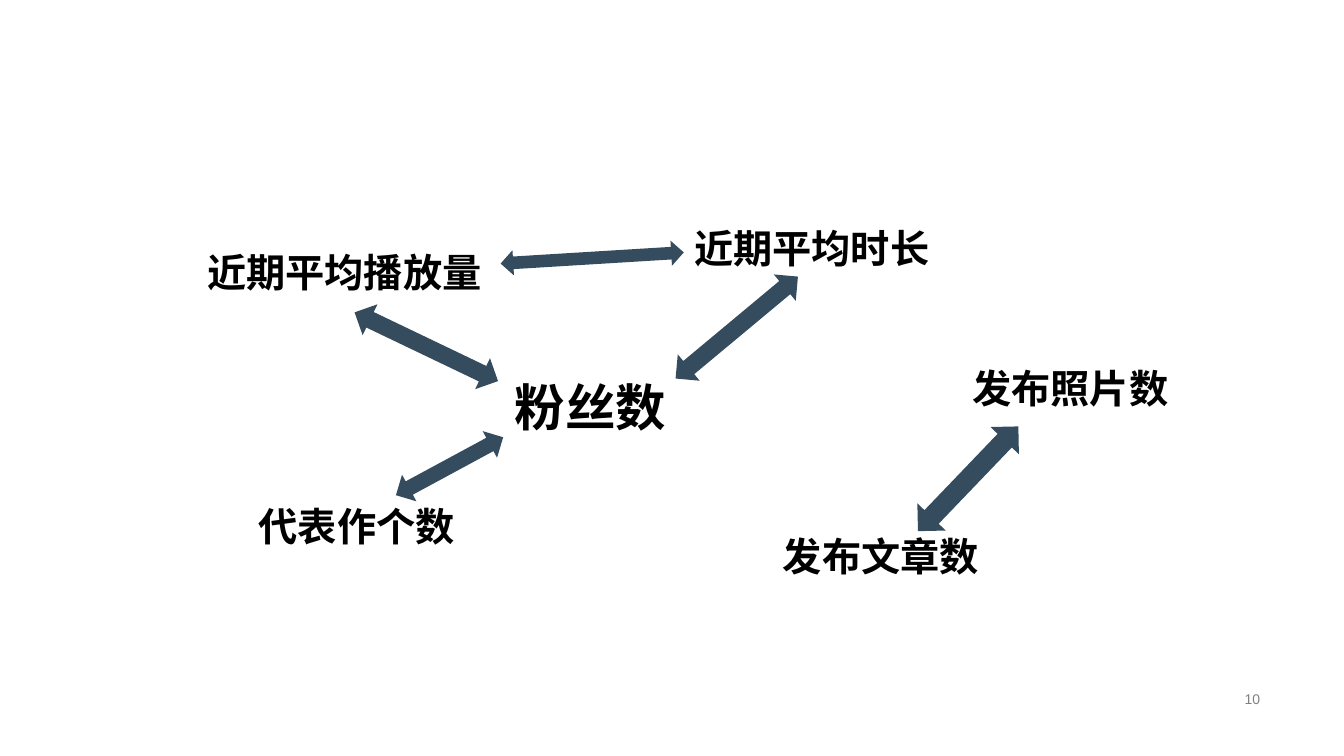
import math
import pptx
import pptx.util
import pptx.dml.color
import pptx.enum.shapes
import pptx.enum.text

Pt = pptx.util.Pt
RGB = pptx.dml.color.RGBColor.from_string
ALIGN = pptx.enum.text.PP_ALIGN
ANCHOR = pptx.enum.text.MSO_ANCHOR

THEME = {
    "font": "Arial", "ink": "000000", "muted": "808080", "arrow": "354B5E",
    "hub": 36, "label": 28, "page": 10,
}

# Labels: text, size, (left, top, width, height)
LABELS = [
    ("粉丝数", "hub", (360.7, 265, 137.5, 51)),
    ("近期平均时长", "label", (488.9, 157, 189.4, 41)),
    ("近期平均播放量", "label", (141.1, 173.5, 213.8, 41)),
    ("代表作个数", "label", (177.8, 355, 159.8, 41)),
    ("发布文章数", "label", (552.2, 376.6, 159.8, 41)),
    ("发布照片数", "label", (687.6, 257, 159.8, 41)),
]

# Two-way arrows: one tip, other tip, thickness
ARROWS = [
    ((282.8, 353.7), (359.4, 312.3), 21.6),
    ((570, 197.6), (482.6, 270.4), 24.5),
    ((488.4, 180.3), (357.6, 188.3), 18),
    ((253.3, 223.1), (355.8, 272.2), 24.5),
    ((655.7, 379.4), (727.4, 304.6), 28.1),
]

PAGE = ("10", (678.2, 491, 229, 16.6))


def add_text(slide, text, box, size, color="ink", bold=False,
             align=ALIGN.LEFT, anchor=ANCHOR.TOP):
    frame = slide.shapes.add_textbox(*map(Pt, box)).text_frame
    frame.word_wrap = True
    frame.vertical_anchor = anchor
    para = frame.paragraphs[0]
    para.alignment = align
    run = para.add_run()
    run.text = text
    run.font.name = THEME["font"]
    run.font.size = Pt(THEME[size])
    run.font.bold = bold
    run.font.color.rgb = RGB(THEME[color])


def add_arrow(slide, tip, end, thick):
    # Draw upright around the midpoint, then turn toward the tip
    dx, dy = tip[0] - end[0], tip[1] - end[1]
    span = math.hypot(dx, dy)
    left = (tip[0] + end[0] - thick) / 2
    top = (tip[1] + end[1] - span) / 2
    kind = pptx.enum.shapes.MSO_SHAPE.UP_DOWN_ARROW
    arrow = slide.shapes.add_shape(kind, Pt(left), Pt(top), Pt(thick), Pt(span))
    arrow.rotation = math.degrees(math.atan2(dx, -dy)) % 360
    arrow.fill.solid()
    arrow.fill.fore_color.rgb = RGB(THEME["arrow"])
    arrow.line.fill.background()
    arrow.shadow.inherit = False


def main():
    deck = pptx.Presentation()
    deck.slide_width, deck.slide_height = Pt(960), Pt(540)
    slide = deck.slides.add_slide(deck.slide_layouts.get_by_name("Blank"))

    # Page number
    text, box = PAGE
    add_text(slide, text, box, "page", color="muted",
             align=ALIGN.RIGHT, anchor=ANCHOR.MIDDLE)

    # Measures and the links between them
    for text, size, box in LABELS:
        add_text(slide, text, box, size, bold=True)
    for tip, end, thick in ARROWS:
        add_arrow(slide, tip, end, thick)

    deck.save("out.pptx")


if __name__ == "__main__":
    main()
